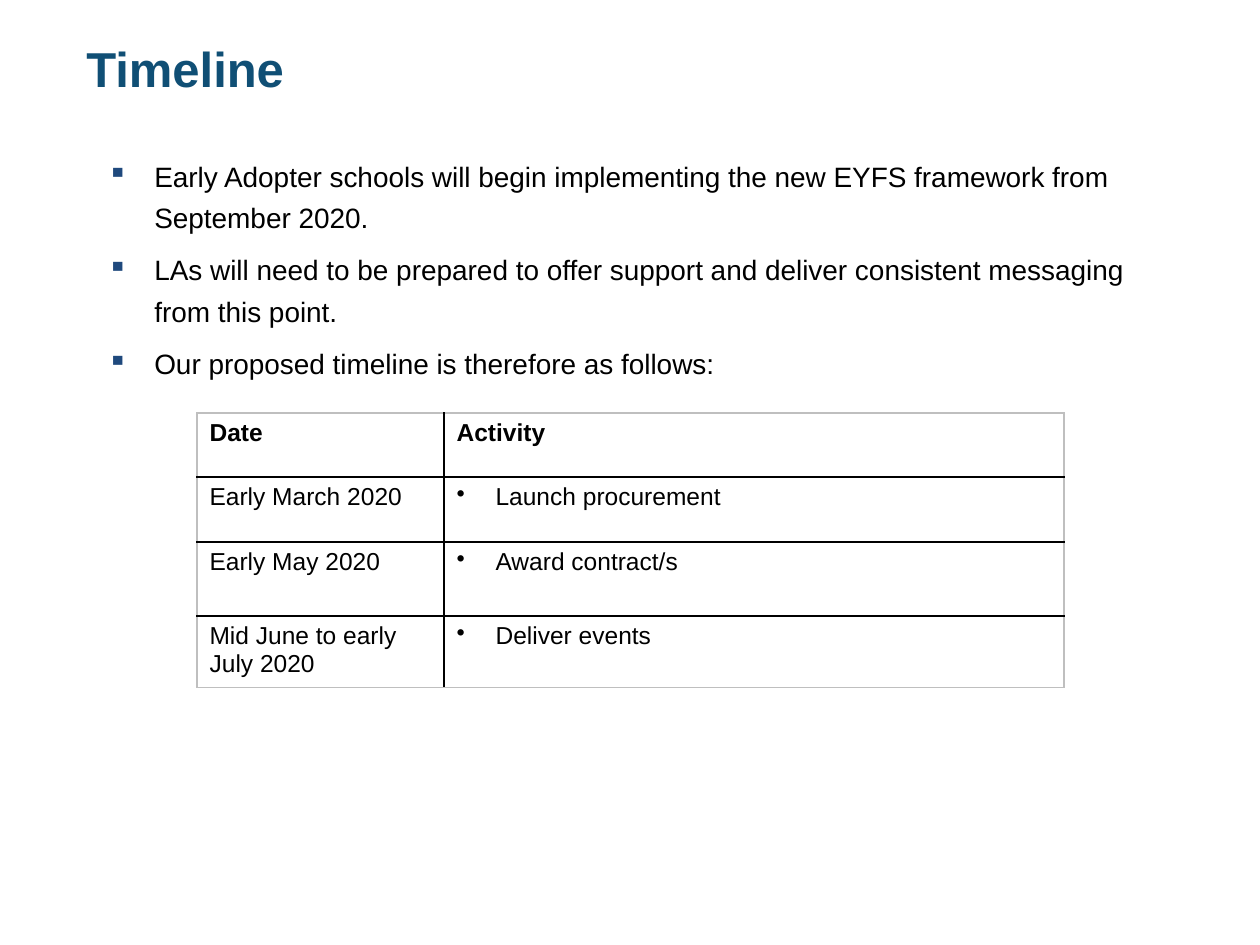
from dataclasses import dataclass

from lxml.etree import SubElement
from pptx import Presentation
from pptx.dml.color import RGBColor as Rgb
from pptx.enum.text import MSO_ANCHOR as Anchor
from pptx.oxml.ns import qn
from pptx.util import Pt

PX = 914400 // 126


@dataclass(frozen=True)
class Theme:
    font: str = "Arial"
    title: str = "104F75"
    ink: str = "000000"
    marker: str = "1F497D"
    frame: str = "BFBFBF"
    paper: str = "FFFFFF"
    title_size: int = 28
    body_size: int = 16
    table_size: int = 14


THEME = Theme()
POINTS = [
    "Early Adopter schools will begin implementing the new EYFS framework from September 2020.",
    "LAs will need to be prepared to offer support and deliver consistent messaging from this point.",
    "Our proposed timeline is therefore as follows:",
]
TIMELINE = [
    ("Date", "Activity"),
    ("Early March 2020", "Launch procurement"),
    ("Early May 2020", "Award contract/s"),
    ("Mid June to early July 2020", "Deliver events"),
]
COLUMN_WIDTHS = [247, 620]
ROW_HEIGHTS = [64, 65, 74, 68]


def px(length):
    return length * PX


def add_color(parent, color):
    SubElement(SubElement(parent, qn("a:solidFill")), qn("a:srgbClr"), val=color)


def add_bullet(paragraph, char, color, indent):
    props = paragraph._p.get_or_add_pPr()
    props.set("marL", str(px(indent)))
    props.set("indent", str(-px(indent)))
    SubElement(SubElement(props, qn("a:buClr")), qn("a:srgbClr"), val=color)
    SubElement(props, qn("a:buChar"), char=char)


def write(frame, lines, size, color=THEME.ink, bold=False, bullet=None,
          bullet_color=THEME.ink, indent=0, spacing=None, after=None):
    frame.word_wrap = True
    for number, line in enumerate(lines):
        paragraph = frame.add_paragraph() if number else frame.paragraphs[0]
        if spacing:
            paragraph.line_spacing = spacing
        if after:
            paragraph.space_after = Pt(after)
        if bullet:
            add_bullet(paragraph, bullet, bullet_color, indent)
        run = paragraph.add_run()
        run.text = line
        run.font.name = THEME.font
        run.font.size = Pt(size)
        run.font.bold = bold
        run.font.color.rgb = Rgb.from_string(color)


def add_text(slide, box, lines, anchor=Anchor.TOP, **style):
    frame = slide.shapes.add_textbox(*map(px, box)).text_frame
    frame.vertical_anchor = anchor
    write(frame, lines, **style)


def set_borders(cell, colors):
    props = cell._tc.get_or_add_tcPr()
    for position, (side, color) in enumerate(colors.items()):
        line = SubElement(props, qn(f"a:ln{side}"), w=str(Pt(1)))
        add_color(line, color)
        props.insert(position, line)


def add_timeline(slide, left, top):
    rows, columns = len(ROW_HEIGHTS), len(COLUMN_WIDTHS)
    table = slide.shapes.add_table(
        rows, columns, px(left), px(top),
        px(sum(COLUMN_WIDTHS)), px(sum(ROW_HEIGHTS))).table
    for column, width in zip(table.columns, COLUMN_WIDTHS):
        column.width = px(width)
    for row, height in zip(table.rows, ROW_HEIGHTS):
        row.height = px(height)

    for r, entries in enumerate(TIMELINE):
        for c, entry in enumerate(entries):
            cell = table.cell(r, c)
            cell.fill.solid()
            cell.fill.fore_color.rgb = Rgb.from_string(THEME.paper)
            # Grey outer frame, black inner rules
            outer = {"L": c == 0, "R": c == columns - 1,
                     "T": r == 0, "B": r == rows - 1}
            set_borders(cell, {side: THEME.frame if edge else THEME.ink
                               for side, edge in outer.items()})
            is_activity = r > 0 and c == 1
            write(cell.text_frame, [entry], THEME.table_size, bold=r == 0,
                  bullet="•" if is_activity else None, indent=39)


def main():
    deck = Presentation()
    deck.slide_width, deck.slide_height = px(1260), px(945)
    slide = deck.slides.add_slide(deck.slide_layouts[6])

    # Heading
    add_text(slide, (74, 18, 1147, 100), ["Timeline"], anchor=Anchor.MIDDLE,
             size=THEME.title_size, color=THEME.title, bold=True)
    # Key points
    add_text(slide, (95, 145, 1071, 586), POINTS, size=THEME.body_size,
             bullet="▪", bullet_color=THEME.marker, indent=47,
             spacing=1.24, after=6)
    # Schedule
    add_timeline(slide, 197, 413)

    deck.save("out.pptx")


if __name__ == "__main__":
    main()
